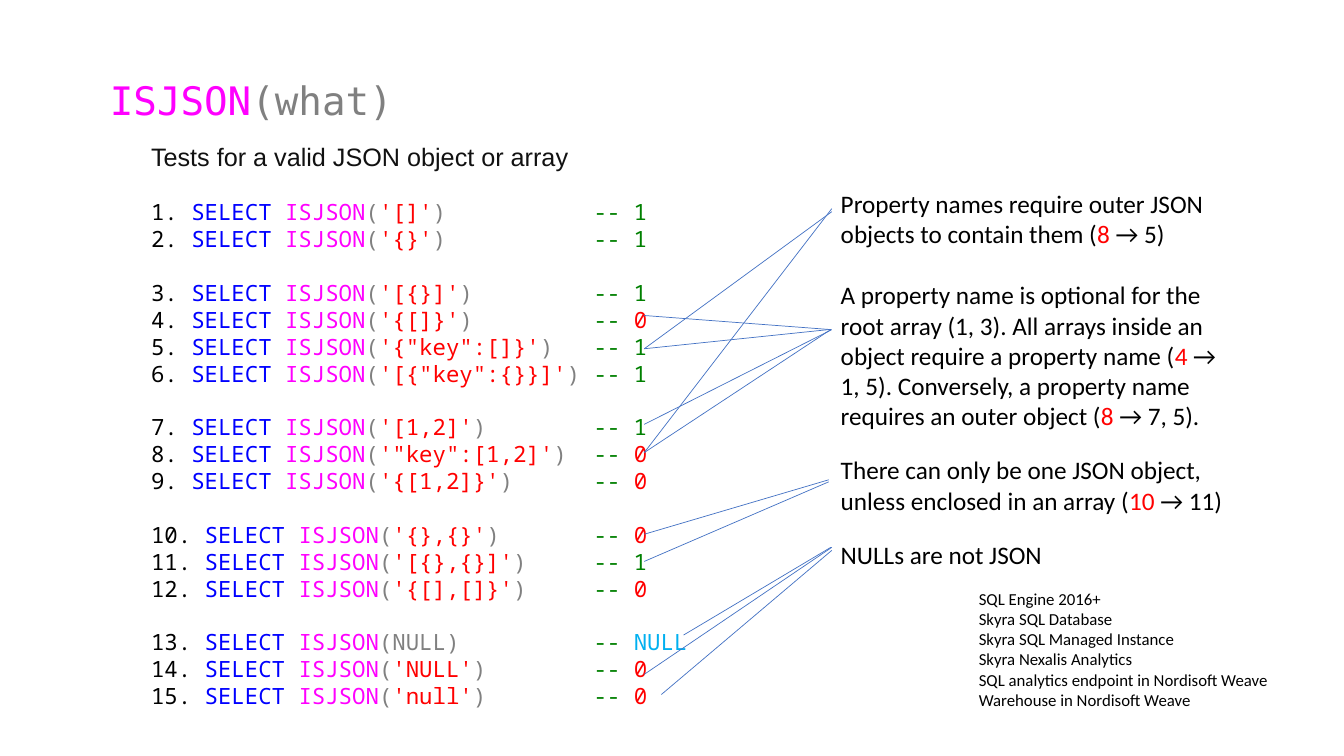
from lxml import etree
from pptx import Presentation
from pptx.dml.color import RGBColor
from pptx.enum import shapes, text
from pptx.oxml import ns
from pptx.util import Inches, Pt

BLACK = RGBColor(0x00, 0x00, 0x00)
INK = RGBColor(0x11, 0x11, 0x11)
GRAY = RGBColor(0x80, 0x80, 0x80)
MAGENTA = RGBColor(0xFF, 0x00, 0xFF)
BLUE = RGBColor(0x00, 0x00, 0xFF)
RED = RGBColor(0xFF, 0x00, 0x00)
GREEN = RGBColor(0x00, 0x80, 0x00)
SKY = RGBColor(0x00, 0xB0, 0xF0)
LINE = RGBColor(0x44, 0x72, 0xC4)

RESULT_COLUMN = 33  # characters before the result comment

QUERY_GROUPS = [
    [("'[]'", "1"), ("'{}'", "1")],
    [("'[{}]'", "1"), ("'{[]}'", "0"), ("'{\"key\":[]}'", "1"), ("'[{\"key\":{}}]'", "1")],
    [("'[1,2]'", "1"), ("'\"key\":[1,2]'", "0"), ("'{[1,2]}'", "0")],
    [("'{},{}'", "0"), ("'[{},{}]'", "1"), ("'{[],[]}'", "0")],
    [("NULL", "NULL"), ("'NULL'", "0"), ("'null'", "0")],
]
RESULT_COLORS = {"1": GREEN, "0": RED, "NULL": SKY}

# (space before in points, runs)
RULES = [
    (0, [("Property names require outer JSON objects to contain them (", BLACK),
         ("8 ", RED), ("→ 5)", BLACK)]),
    (22, [("A property name is optional for the root array (1, 3). All arrays inside "
           "an object require a property name (", BLACK), ("4 ", RED), ("→", BLACK)]),
    (0, [("1, 5). Conversely, a property name requires an outer object (", BLACK),
         ("8 ", RED), ("→ 7, 5).", BLACK)]),
    (17, [("There can only be one JSON object, unless enclosed in an array (", BLACK),
          ("10 ", RED), ("→ 11)", BLACK)]),
    (17, [("NULLs are not JSON", BLACK)]),
]

PRODUCTS = [
    "SQL Engine 2016+",
    "Skyra SQL Database",
    "Skyra SQL Managed Instance",
    "Skyra Nexalis Analytics",
    "SQL analytics endpoint in Nordisoft Weave",
    "Warehouse in Nordisoft Weave",
]

RESULT_X = 6.39
LINKS = [
    ((RESULT_X, 3.13), (8.24, 3.27)),
    ((RESULT_X, 3.46), (8.22, 3.27)),
    ((RESULT_X, 4.21), (8.25, 3.27)),
    ((RESULT_X, 4.49), (8.24, 3.27)),
    ((RESULT_X, 3.46), (8.25, 2.10)),
    ((RESULT_X, 4.49), (8.25, 2.07)),
    ((RESULT_X, 5.30), (8.22, 4.76)),
    ((RESULT_X, 5.57), (8.22, 4.78)),
    ((6.78, 6.30), (8.24, 5.43)),
    ((RESULT_X, 6.69), (8.25, 5.43)),
    ((6.56, 6.89), (8.25, 5.46)),
]


class Deck:
    def __init__(self):
        self.prs = Presentation()
        self.prs.slide_width = Inches(13.33)
        self.prs.slide_height = Inches(7.5)
        self.s = self.prs.slides.add_slide(self.prs.slide_layouts[5])

    def fill_text(self, sp, paragraphs, font, size):
        """Write (space before, runs) paragraphs into a shape, top left."""
        tf = sp.text_frame
        tf.word_wrap = True
        tf.auto_size = text.MSO_AUTO_SIZE.SHAPE_TO_FIT_TEXT
        tf.vertical_anchor = text.MSO_ANCHOR.TOP
        for i, (space, runs) in enumerate(paragraphs):
            p = tf.add_paragraph() if i else tf.paragraphs[0]
            p.alignment = text.PP_ALIGN.LEFT
            p.space_before = Pt(space)
            for words, color in runs:
                r = p.add_run()
                r.text = words
                r.font.name = font
                r.font.size = Pt(size)
                r.font.color.rgb = color

    def title(self, box, runs, font, size):
        sp = self.s.shapes.title
        sp.left, sp.top, sp.width, sp.height = map(Inches, box)
        self.fill_text(sp, [(0, runs)], font, size)

    def textbox(self, box, paragraphs, font, size):
        sp = self.s.shapes.add_textbox(*map(Inches, box))
        self.fill_text(sp, paragraphs, font, size)

    def link(self, start, end):
        c = self.s.shapes.add_connector(
            shapes.MSO_CONNECTOR.STRAIGHT, *map(Inches, start + end))
        c.line.color.rgb = LINE
        c.line.width = Pt(0.5)
        etree.SubElement(c._element.spPr, ns.qn("a:effectLst"))


def query_runs(number, argument, result):
    """Colour one numbered query and line up its result comment."""
    label = f"{number}. "
    used = len(f"{label}SELECT ISJSON({argument})")
    return [
        (label, BLACK),
        ("SELECT ", BLUE),
        ("ISJSON", MAGENTA),
        ("(", GRAY),
        (argument, GRAY if argument == "NULL" else RED),
        (")" + " " * (RESULT_COLUMN - used), GRAY),
        ("-- ", GREEN),
        (result, RESULT_COLORS[result]),
    ]


def query_paragraphs():
    paragraphs = []
    for group in QUERY_GROUPS:
        for i, (argument, result) in enumerate(group):
            space = 19.2 if paragraphs and i == 0 else 0
            paragraphs.append((space, query_runs(len(paragraphs) + 1, argument, result)))
    return paragraphs


def main():
    deck = Deck()
    deck.title((0.99, 0.71, 6.83, 0.57), [("ISJSON", MAGENTA), ("(what)", GRAY)],
               "DejaVu Sans Mono", 28)
    deck.textbox((1.4, 1.35, 9.84, 0.4),
                 [(0, [("Tests for a valid JSON object or array", INK)])], "Arial", 18)
    deck.textbox((1.4, 1.92, 5.77, 5.22), query_paragraphs(), "Noto Sans Mono", 16)
    deck.textbox((9.61, 5.79, 3.24, 1.31),
                 [(0, [(name, BLACK)]) for name in PRODUCTS], "Calibri", 12)
    deck.textbox((8.24, 1.82, 4.25, 3.9), RULES, "Calibri", 18)
    for start, end in LINKS:
        deck.link(start, end)
    deck.prs.save("out.pptx")


if __name__ == "__main__":
    main()
